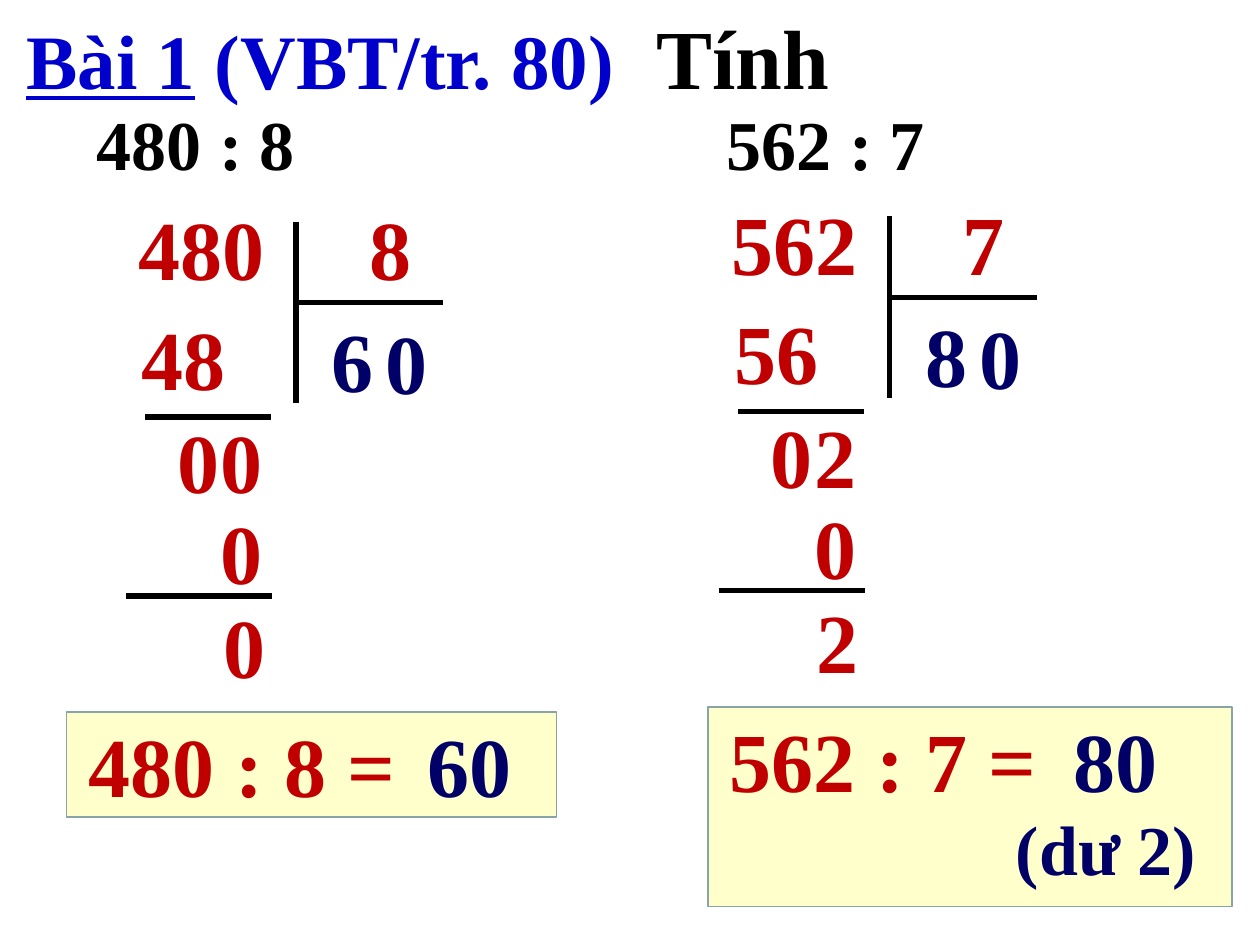
from lxml import etree
from pptx import Presentation
from pptx.dml.color import RGBColor
from pptx.enum.shapes import MSO_CONNECTOR, MSO_SHAPE
from pptx.enum.text import MSO_ANCHOR, MSO_AUTO_SIZE, PP_ALIGN
from pptx.oxml.ns import qn
from pptx.util import Pt

STRAIGHT, RECTANGLE = MSO_CONNECTOR.STRAIGHT, MSO_SHAPE.RECTANGLE
TOP, LEFT, NO_FIT = MSO_ANCHOR.TOP, PP_ALIGN.LEFT, MSO_AUTO_SIZE.NONE

FONT = "Times New Roman"
COLORS = {"heading": "0000CC", "ink": "000000", "work": "C00000",
          "quotient": "000066", "panel": "FFFFCC", "border": "89A4A7"}
BIG, SMALL = 48, 40

# Content: heading runs are text, size, colour, underlined
HEADING = [("Bài 1", 44, "heading", True),
           (" (VBT/tr. 80)\t", 44, "heading", False),
           ("Tính", 48, "ink", False)]
HEADING_TAB = 360

# Digits of each long division, in the order of DIGIT_PLACES.
# Answer parts are text, left, top, size, colour.
EXERCISES = [
    {"expression": "480 : 8", "expression_left": 55.4, "shift": (0, 0),
     "digits": ["480", "8", "48", "6", "0", "0", "0", "0", "0"],
     "panel": (38, 407, 280, 60),
     "answer": [("480 : 8 =", 50.6, 407.5, BIG, "work"),
                ("60", 244.5, 407.5, BIG, "quotient")]},
    {"expression": "562 : 7", "expression_left": 415.4, "shift": (339, -3),
     "digits": ["562", "7", "56", "8", "0", "0", "2", "0", "2"],
     "panel": (404.6, 404, 299.5, 114),
     "answer": [("562 : 7 =", 417.1, 404.6, BIG, "work"),
                ("80", 613.4, 404.6, BIG, "quotient"),
                ("(dư 2)", 580.6, 460, SMALL, "quotient")]},
]
EXPRESSION_TOP = 57.6

# Long-division layout: left, top, colour, before the column shift
DIGIT_PLACES = [
    (79, 112.3, "work"),         # dividend
    (211, 112.3, "work"),        # divisor
    (81, 175, "work"),           # first product
    (189.6, 176.4, "quotient"),  # quotient, first digit
    (220.6, 177.5, "quotient"),  # quotient, second digit
    (101.5, 234, "work"),        # first remainder
    (126.2, 234, "work"),        # digit brought down
    (126.2, 286, "work"),        # second product
    (127.7, 340, "work"),        # last remainder
]
RULES = [(169.2, 126.7, 169.2, 230.4), (169.2, 172.8, 253.4, 172.8),
         (82.8, 238.3, 154.8, 238.3), (72, 340.6, 155.5, 340.6)]


def color(key):
    return RGBColor.from_string(COLORS[key])


def place(shape, left, top, width, height):
    shape.left, shape.top = Pt(left), Pt(top)
    shape.width, shape.height = Pt(width), Pt(height)


def prepare(frame):
    frame.margin_left = frame.margin_right = 0
    frame.margin_top = frame.margin_bottom = 0
    frame.word_wrap = True
    frame.auto_size = NO_FIT
    frame.vertical_anchor = TOP


def add_label(slide, text, left, top, size, color_key):
    label = slide.shapes.add_textbox(
        Pt(left), Pt(top), Pt(len(text) * size / 2 + 4), Pt(size * 1.15))
    prepare(label.text_frame)
    paragraph = label.text_frame.paragraphs[0]
    paragraph.text = text
    font = paragraph.font
    font.name, font.size, font.bold = FONT, Pt(size), True
    font.color.rgb = color(color_key)


def add_rule(slide, *ends):
    rule = slide.shapes.add_connector(STRAIGHT, *map(Pt, ends))
    rule.line.width = Pt(3)
    rule.line.color.rgb = color("ink")
    etree.SubElement(rule._element.spPr, qn("a:effectLst"))


def add_heading(slide):
    title = slide.shapes.title
    place(title, 15.1, 3, 650, 56)
    prepare(title.text_frame)
    paragraph = title.text_frame.paragraphs[0]
    paragraph.alignment = LEFT
    tabs = etree.SubElement(paragraph._p.get_or_add_pPr(), qn("a:tabLst"))
    etree.SubElement(tabs, qn("a:tab"), pos=str(Pt(HEADING_TAB)), algn="l")
    paragraph.font.name, paragraph.font.bold = FONT, True
    for text, size, color_key, underlined in HEADING:
        run = paragraph.add_run()
        run.text = text
        run.font.size, run.font.underline = Pt(size), underlined
        run.font.color.rgb = color(color_key)


def add_exercise(slide, exercise):
    add_label(slide, exercise["expression"], exercise["expression_left"],
              EXPRESSION_TOP, SMALL, "ink")

    # Long division
    dx, dy = exercise["shift"]
    for digits, (left, top, color_key) in zip(exercise["digits"], DIGIT_PLACES):
        add_label(slide, digits, left + dx, top + dy, BIG, color_key)
    for x1, y1, x2, y2 in RULES:
        add_rule(slide, x1 + dx, y1 + dy, x2 + dx, y2 + dy)

    # Answer panel
    panel = slide.shapes.add_shape(RECTANGLE, *map(Pt, exercise["panel"]))
    panel.shadow.inherit = False
    panel.fill.solid()
    panel.fill.fore_color.rgb = color("panel")
    panel.line.color.rgb = color("border")
    panel.line.width = Pt(1)
    for part in exercise["answer"]:
        add_label(slide, *part)


def main():
    deck = Presentation()
    deck.slide_width, deck.slide_height = Pt(720), Pt(540)
    slide = deck.slides.add_slide(deck.slide_layouts[5])
    add_heading(slide)
    for exercise in EXERCISES:
        add_exercise(slide, exercise)
    deck.save("out.pptx")


if __name__ == "__main__":
    main()
